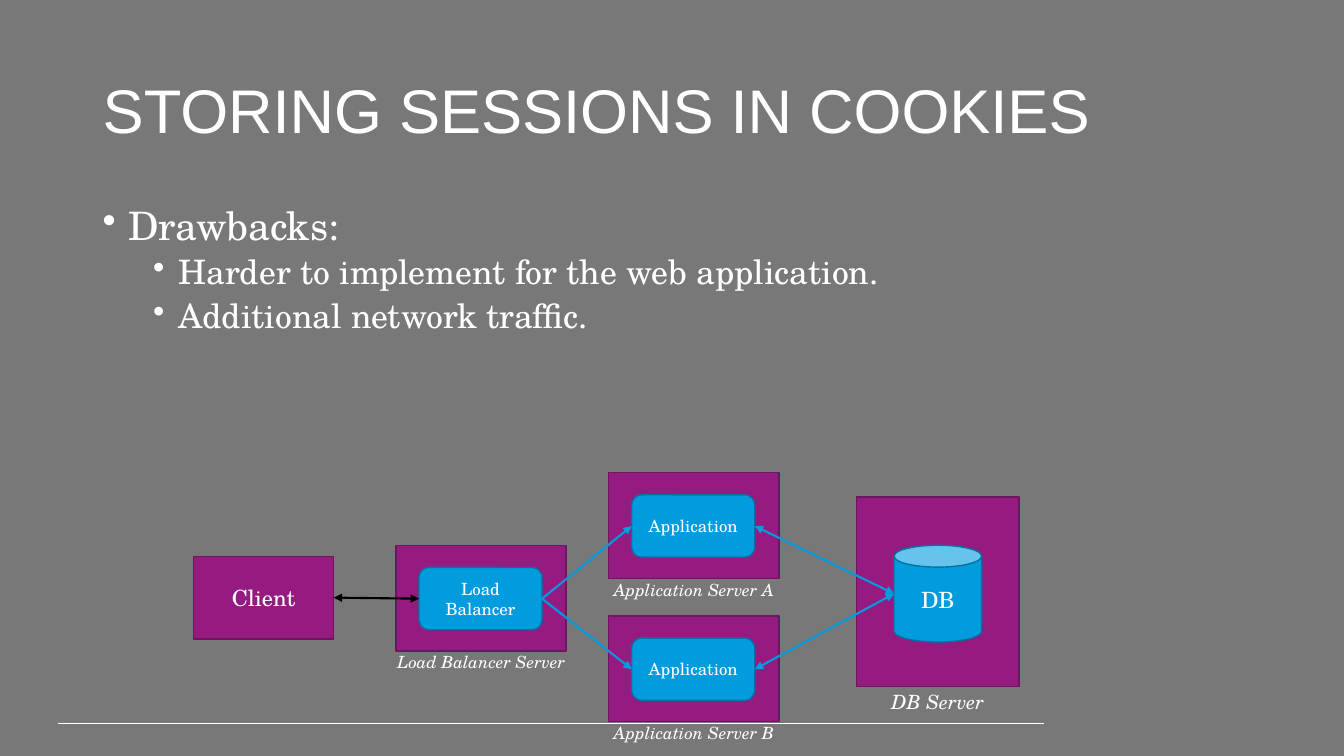
from dataclasses import dataclass

from lxml import etree
from pptx import Presentation
from pptx import util as u
from pptx.dml.color import RGBColor
from pptx.enum import shapes, text
from pptx.oxml import ns


@dataclass(frozen=True)
class Theme:
    background: str = "787878"
    ink: str = "FFFFFF"
    server: str = "961B81"
    server_edge: str = "6F145F"
    process: str = "009CDE"
    process_edge: str = "0073A4"
    client_link: str = "000000"
    heading_font: str = "Arial"
    body_font: str = "TeX Gyre Schola"
    title: int = 44
    bullet: int = 28
    sub_bullet: int = 24
    node: int = 16
    db_caption: int = 14
    small: int = 12


class Diagram:
    """Draws styled elements on one slide."""

    def __init__(self, slide, theme):
        self.slide = slide
        self.theme = theme
        self.fill(slide.background.fill, theme.background)

    def fill(self, fill, color):
        fill.solid()
        fill.fore_color.rgb = RGBColor.from_string(color)

    def style(self, paragraph, size, font=None, italic=False):
        for run in paragraph.runs:
            run.font.size = u.Pt(size)
            run.font.name = font or self.theme.body_font
            run.font.italic = italic
            run.font.color.rgb = RGBColor.from_string(self.theme.ink)

    def text_box(self, box):
        frame = self.slide.shapes.add_textbox(*map(u.Cm, box)).text_frame
        frame.word_wrap = True
        return frame

    def title(self, words, box):
        frame = self.text_box(box)
        frame.vertical_anchor = text.MSO_ANCHOR.MIDDLE
        frame.text = words
        paragraph = frame.paragraphs[0]
        paragraph.line_spacing = 0.9
        self.style(paragraph, self.theme.title, self.theme.heading_font)

    def bullets(self, items, box):
        frame = self.text_box(box)
        frame.text = "\n".join(words for words, level in items)
        sizes = (self.theme.bullet, self.theme.sub_bullet)
        for paragraph, (words, level) in zip(frame.paragraphs, items):
            paragraph.level = level
            properties = paragraph._p.get_or_add_pPr()
            properties.set("marL", str(u.Cm(0.64 + 1.27 * level)))
            properties.set("indent", str(u.Cm(-0.64)))
            bullet = etree.SubElement(properties, ns.qn("a:buChar"))
            bullet.set("char", "•")
            paragraph.line_spacing = 0.9
            paragraph.space_before = u.Pt(5 if level else 0)
            self.style(paragraph, sizes[level])

    def caption(self, words, box, size):
        frame = self.text_box(box)
        frame.text = words
        paragraph = frame.paragraphs[0]
        paragraph.alignment = text.PP_ALIGN.CENTER
        paragraph.line_spacing = 0.9
        self.style(paragraph, size, italic=True)

    def node(self, kind, box, color, edge, words="", size=0):
        shape = self.slide.shapes.add_shape(kind, *map(u.Cm, box))
        shape.shadow.inherit = False
        self.fill(shape.fill, color)
        self.fill(shape.line.fill, edge)
        shape.line.width = u.Pt(1)
        if words:
            frame = shape.text_frame
            frame.word_wrap = True
            frame.vertical_anchor = text.MSO_ANCHOR.MIDDLE
            frame.text = words
            paragraph = frame.paragraphs[0]
            paragraph.alignment = text.PP_ALIGN.CENTER
            self.style(paragraph, size)
        return shape

    def server(self, box, words="", size=0):
        theme = self.theme
        return self.node(shapes.MSO_SHAPE.RECTANGLE, box, theme.server,
                         theme.server_edge, words, size)

    def process(self, kind, box, words, size):
        theme = self.theme
        return self.node(kind, box, theme.process, theme.process_edge, words, size)

    def process_server(self, left, top, words, name):
        self.server((left, top, 4.29, 2.67))
        self.caption(name, (left - 0.45, top + 2.62, 5.2, 0.71), self.theme.small)
        return self.process(shapes.MSO_SHAPE.ROUNDED_RECTANGLE,
                            (left + 0.58, top + 0.56, 3.1, 1.57), words, self.theme.small)

    def line(self, start, end, color, width):
        line = self.slide.shapes.add_connector(shapes.MSO_CONNECTOR.STRAIGHT, *start, *end)
        self.fill(line.line.fill, color)
        line.line.width = u.Pt(width)
        etree.SubElement(line._element.spPr, ns.qn("a:effectLst"))
        return line

    def link(self, source, target, color, ends=("headEnd", "tailEnd"), site=1):
        start = (source.left + source.width, source.top + source.height // 2)
        end = (target.left, target.top + target.height // 2)
        connector = self.line(start, end, color, 1.5)
        for tag in ends:
            arrow = etree.SubElement(connector.line._get_or_add_ln(), ns.qn(f"a:{tag}"))
            arrow.set("type", "triangle")
        connector.begin_connect(source, 3)
        connector.end_connect(target, site)
        connector.end_x, connector.end_y = end


def main():
    theme = Theme()
    presentation = Presentation()
    presentation.slide_width, presentation.slide_height = u.Cm(33.87), u.Cm(19.05)
    slide = presentation.slides.add_slide(presentation.slide_layouts[6])
    diagram = Diagram(slide, theme)

    footer_y = u.Cm(18.24)
    diagram.line((u.Cm(1.45), footer_y), (u.Cm(26.31), footer_y), theme.ink, 0.75)
    diagram.title("STORING SESSIONS IN COOKIES", (2.34, 1.02, 29.21, 3.68))
    diagram.bullets([
        ("Drawbacks:", 0),
        ("Harder to implement for the web application.", 1),
        ("Additional network traffic.", 1),
    ], (2.34, 5.08, 29.21, 3.53))

    client = diagram.server((4.88, 14.02, 3.53, 2.08), "Client", theme.node)
    balancer = diagram.process_server(9.98, 13.74, "Load Balancer", "Load Balancer Server")
    diagram.server((21.59, 12.52, 4.09, 4.78))
    diagram.caption("DB Server", (21.59, 17.32, 4.09, 0.79), theme.db_caption)
    database = diagram.process(shapes.MSO_SHAPE.CAN, (22.53, 13.74, 2.21, 2.44),
                               "DB", theme.node)

    diagram.link(client, balancer, theme.client_link)
    for index, letter in enumerate("AB"):
        application = diagram.process_server(15.34, 11.91 + 3.61 * index, "Application",
                                             f"Application Server {letter}")
        diagram.link(balancer, application, theme.process, ends=("tailEnd",))
        diagram.link(application, database, theme.process, site=2)

    presentation.save("out.pptx")


if __name__ == "__main__":
    main()
